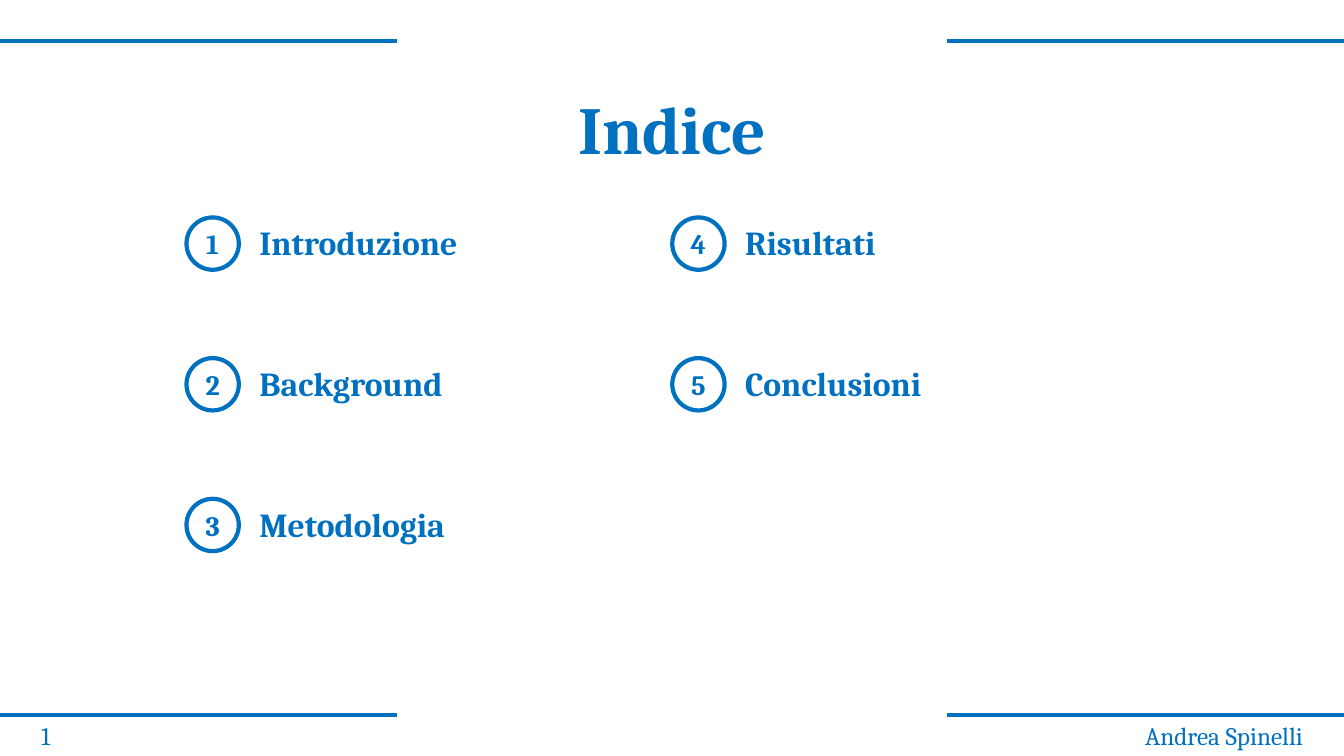
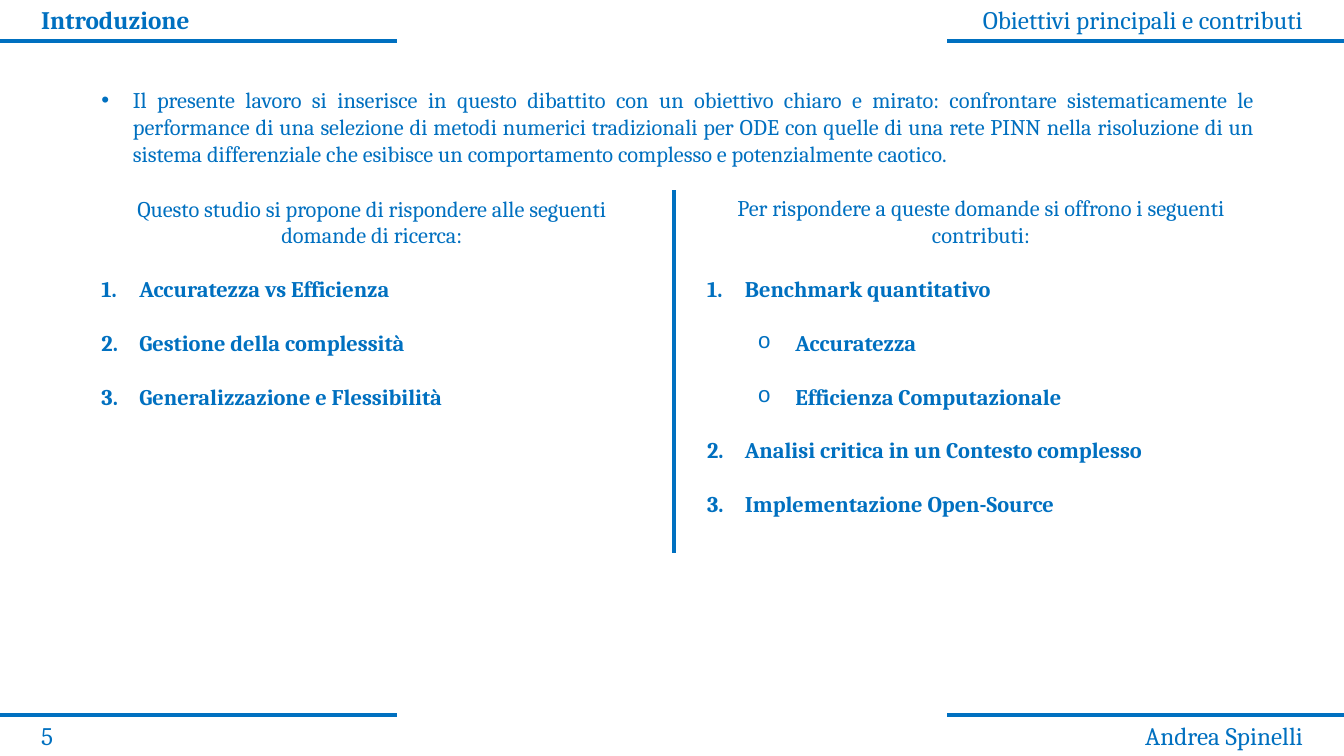
from lxml import etree
from pptx import Presentation
from pptx.dml.color import RGBColor
from pptx.enum import shapes, text
from pptx.oxml import ns
from pptx.util import Pt

BLUE = RGBColor(0x00, 0x70, 0xC0)
WHITE = RGBColor(0xFF, 0xFF, 0xFF)
FONT = "Cambria"
LEFT, MID, RIGHT, JUST = (text.PP_ALIGN.LEFT, text.PP_ALIGN.CENTER,
                          text.PP_ALIGN.RIGHT, text.PP_ALIGN.JUSTIFY)
WIDE, HIGH = 960, 540
BAND = 283.5        # length of each band line
EDGE = 22.3         # side margin of header and footer

prs = Presentation()
prs.slide_width, prs.slide_height = Pt(WIDE), Pt(HIGH)


def rule(slide, x1, y1, x2, y2):
    line = slide.shapes.add_connector(
        shapes.MSO_CONNECTOR.STRAIGHT, Pt(x1), Pt(y1), Pt(x2), Pt(y2))
    line.line.color.rgb = BLUE
    line.line.width = Pt(3)
    etree.SubElement(line._element.spPr, ns.qn("a:effectLst"))


def write(slide, box, words, size, bold=False, align=LEFT, kind=None):
    """Put text in a text box, or in a white outlined shape of the given kind."""
    place = [Pt(n) for n in box]
    if kind is None:
        shape = slide.shapes.add_textbox(*place)
    else:
        shape = slide.shapes.add_shape(kind, *place)
        shape.shadow.inherit = False
        shape.fill.solid()
        shape.fill.fore_color.rgb = WHITE
        shape.line.color.rgb = BLUE
        shape.line.width = Pt(3)
    frame = shape.text_frame
    frame.word_wrap = True
    frame.text = words
    for par in frame.paragraphs:
        par.alignment = align
        for run in par.runs:
            run.font.name, run.font.size = FONT, Pt(size)
            run.font.bold = bold
            run.font.color.rgb = BLUE
    return frame.paragraphs


# Shared frame: bands, header and footer
pages = [
    ("1", "", ""),
    ("5", "Introduzione", "Obiettivi principali e contributi"),
]
slides = []
for num, part, topic in pages:
    slide = prs.slides.add_slide(prs.slide_layouts[6])
    slide.background.fill.solid()
    slide.background.fill.fore_color.rgb = WHITE
    for y in (510.5, 29.5):
        rule(slide, 0, y, BAND, y)
        rule(slide, WIDE - BAND, y, WIDE, y)
    far = WIDE - EDGE - BAND
    for y, near, end, bold in ((511.2, num, "Andrea Spinelli", False),
                               (-0.7, part, topic, True)):
        if near:
            write(slide, (EDGE, y, BAND, 29), near, 18, bold)
            write(slide, (far, y, BAND, 29), end, 18, align=RIGHT)
    slides.append(slide)
index, intro = slides

# Index: title and numbered parts, three to a column
write(index, (EDGE, 59, WIDE - 2 * EDGE, 65.4), "Indice", 48, True, MID)
parts = ["Introduzione", "Background", "Metodologia", "Risultati", "Conclusioni"]
for i, name in enumerate(parts):
    col, row = divmod(i, 3)
    x, y = 133.2 + 347 * col, 155.3 + 100.5 * row
    write(index, (x, y, 37.4, 37.4), str(i + 1), 20, True, MID,
          shapes.MSO_SHAPE.OVAL)
    write(index, (x + 45, y, 252, 36.4), name, 24, True)

# Introduction: opening paragraph, divider and two columns
goal = (
    "Il presente lavoro si inserisce in questo dibattito con un obiettivo "
    "chiaro e mirato: confrontare sistematicamente le performance di una "
    "selezione di metodi numerici tradizionali per ODE con quelle di una rete "
    "PINN nella risoluzione di un sistema differenziale che esibisce un "
    "comportamento complesso e potenzialmente caotico.")
opening = write(intro, (65.4, 58.2, 838, 65.4), goal, 16, align=JUST)[0]
rule(intro, 481.5, 136, 481.5, 394.8)

marks = [(opening, "dot")]
columns = [
    (65.4, 400.5, 181.5,
     "Questo studio si propone di rispondere alle seguenti domande di ricerca:",
     [("num", "Accuratezza vs Efficienza"),
      ("num", "Gestione della complessità"),
      ("num", "Generalizzazione e Flessibilità")]),
    (498, 405.5, 259.2,
     "Per rispondere a queste domande si offrono i seguenti contributi:",
     [("num", "Benchmark quantitativo"),
      ("sub", "Accuratezza"),
      ("sub", "Efficienza Computazionale"),
      ("num", "Analisi critica in un Contesto complesso"),
      ("num", "Implementazione Open-Source")]),
]
for x, w, h, head, items in columns:
    words = "\n".join([head] + [item for _, item in items])
    first, *rest = write(intro, (x, 135.5, w, h), words, 16, True)
    first.alignment = MID
    first.runs[0].font.bold = False
    for par, (mark, _) in zip(rest, items):
        par.space_before = Pt(19.2)
        marks.append((par, mark))

# Bullets and numbers: left margin, hang, font, tag and its attributes
styles = {
    "dot": (22.5, 22.5, "Arial", "a:buChar", {"char": "•"}),
    "num": (27, 27, FONT, "a:buAutoNum", {"type": "arabicPeriod"}),
    "sub": (63, 27, "Courier New", "a:buChar", {"char": "o"}),
}
for par, mark in marks:
    left, hang, face, tag, attrs = styles[mark]
    if mark == "sub":
        par.level = 1
    props = par._p.get_or_add_pPr()
    props.set("marL", str(Pt(left)))
    props.set("indent", str(-Pt(hang)))
    etree.SubElement(props, ns.qn("a:buFont"), typeface=face)
    etree.SubElement(props, ns.qn(tag), attrs)

prs.save("out.pptx")
